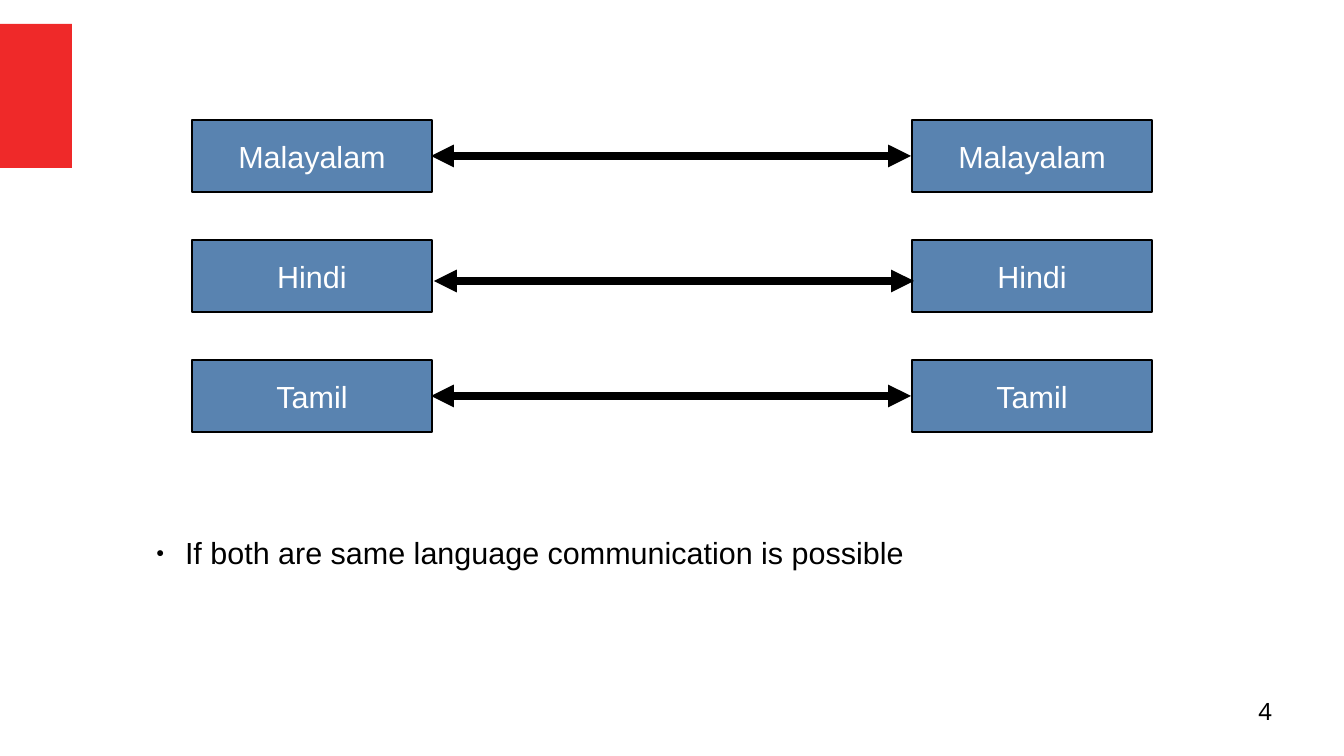
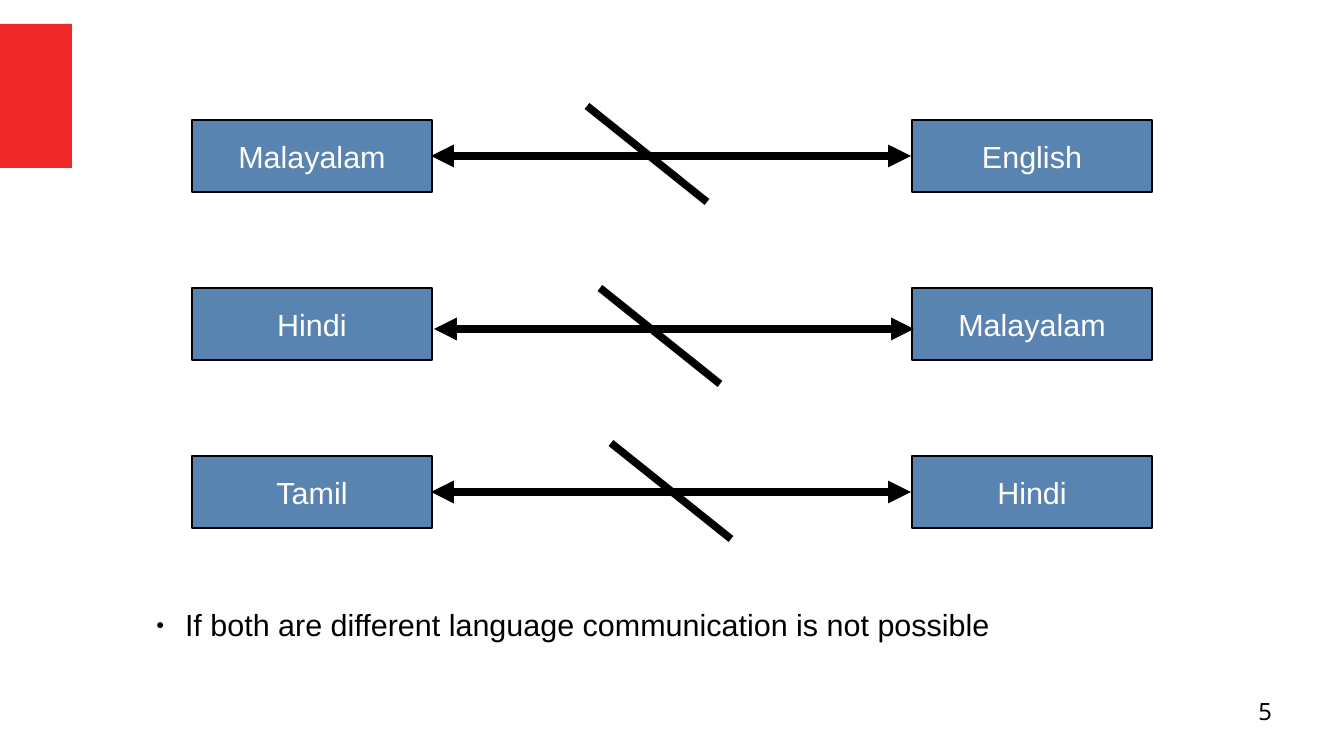
from dataclasses import dataclass
from lxml import etree
from pptx import Presentation
from pptx.dml.color import RGBColor
from pptx.enum import shapes, text
from pptx.oxml.ns import qn

PX = 914400 / 122  # EMU in one px


@dataclass(frozen=True)
class Theme:
    band: str = "EF2929"
    box: str = "5983B0"
    ink: str = "000000"
    paper: str = "FFFFFF"
    face: str = "Arial"
    digit: str = "Noto Sans"
    label: float = 18
    page: float = 14
    edge: float = 0.85
    stroke: float = 4.5


def px(*sizes):
    return [round(s * PX) for s in sizes]


def pt(size):
    return round(size * 12700)


def apply(item, **values):
    for name, value in values.items():
        setattr(item, name, value)


def node(parent, tag, **values):
    return etree.SubElement(parent, qn(tag), values)


class Deck:
    def __init__(self, theme, width, height):
        self.theme = theme
        self.prs = Presentation()
        self.slide = None
        wide, high = px(width, height)
        apply(self.prs, slide_width=wide, slide_height=high)
        self.layout = self.prs.slide_layouts[1]

    # Slide without a heading
    def page(self):
        self.slide = self.prs.slides.add_slide(self.layout)
        title = self.slide.shapes.title.element
        title.getparent().remove(title)

    def rect(self, area, color):
        shape = self.slide.shapes.add_shape(
            shapes.MSO_SHAPE.RECTANGLE, *px(*area))
        shape.shadow.inherit = False
        shape.fill.solid()
        shape.fill.fore_color.rgb = RGBColor.from_string(color)
        shape.line.fill.background()
        return shape

    # Band shared by all slides, kept on the layout
    def band(self, *area):
        shape = self.rect(area, self.theme.band)
        self.layout.shapes.element.append(shape.element)

    def label(self, frame, words, inset, align, color, size, face, **values):
        side, top = px(*inset)
        apply(frame, margin_left=side, margin_right=side,
              margin_top=top, margin_bottom=top, **values)
        para = frame.paragraphs[0]
        apply(para, text=words, alignment=align, space_before=0)
        apply(para.font, size=pt(size), name=face)
        para.font.color.rgb = RGBColor.from_string(color)

    def box(self, words, *area):
        look = self.theme
        shape = self.rect(area, look.box)
        shape.line.color.rgb = RGBColor.from_string(look.ink)
        shape.line.width = pt(look.edge)
        self.label(shape.text_frame, words, (12, 6), text.PP_ALIGN.CENTER,
                   look.paper, look.label, look.face, word_wrap=False,
                   vertical_anchor=text.MSO_ANCHOR.MIDDLE)

    def line(self, *ends, arrow=False):
        link = self.slide.shapes.add_connector(
            shapes.MSO_CONNECTOR.STRAIGHT, *px(*ends))
        link.line.color.rgb = RGBColor.from_string(self.theme.ink)
        link.line.width = pt(self.theme.stroke)
        props = link.element.spPr
        if arrow:
            for tag in ("a:headEnd", "a:tailEnd"):
                node(props.find(qn("a:ln")), tag, type="triangle")
        node(props, "a:effectLst")

    # Bulleted statement in the body placeholder
    def note(self, words, *area):
        look = self.theme
        body = self.slide.placeholders[1]
        left, top, width, height = px(*area)
        apply(body, left=left, top=top, width=width, height=height)
        self.label(body.text_frame, words, (12, 6), text.PP_ALIGN.LEFT,
                   look.ink, look.label, look.face, word_wrap=True,
                   vertical_anchor=text.MSO_ANCHOR.TOP,
                   auto_size=text.MSO_AUTO_SIZE.NONE)
        props = body.element.find(".//" + qn("a:pPr"))
        indent = px(29)[0]
        props.set("marL", str(indent))
        props.set("indent", str(-indent))
        node(node(props, "a:buClr"), "a:srgbClr", val=look.ink)
        node(props, "a:buSzPct", val="45000")
        node(props, "a:buChar", char="●")

    def count(self, number):
        look = self.theme
        area = self.slide.shapes.add_textbox(*px(960, 697, 312, 52))
        self.label(area.text_frame, str(number), (0, 0), text.PP_ALIGN.RIGHT,
                   look.ink, look.page, look.digit, word_wrap=True)


# Pairs of languages, row pitch, statement and strike starts per slide
PAGES = [
    dict(number=4, pitch=120, base=528, strikes=[],
         pairs=[("Malayalam", "Malayalam"), ("Hindi", "Hindi"),
                ("Tamil", "Tamil")],
         words="If both are same language communication is possible"),
    dict(number=5, pitch=168, base=600,
         strikes=[(587, 106), (600, 288), (611, 443)],
         pairs=[("Malayalam", "English"), ("Hindi", "Malayalam"),
                ("Tamil", "Hindi")],
         words="If both are different language communication is not possible"),
]
LEFT, RIGHT, TOP, WIDE, HIGH = 192, 912, 120, 240, 72
NUDGE = [(-1, 0), (2, 5), (-1, 0)]  # arrow offset in each row


def main():
    deck = Deck(Theme(), 1344, 756)
    for page in PAGES:
        deck.page()
        if page is PAGES[0]:
            deck.band(0, 24, 72, 144)

        # Language boxes and arrows
        for row, (pair, (dx, dy)) in enumerate(zip(page["pairs"], NUDGE)):
            top = TOP + row * page["pitch"]
            for words, left in zip(pair, (LEFT, RIGHT)):
                deck.box(words, left, top, WIDE, HIGH)
            mid = top + HIGH // 2 + dy
            deck.line(LEFT + WIDE + dx, mid, RIGHT + dx, mid, arrow=True)

        # Strikes through the arrows
        for x, y in page["strikes"]:
            deck.line(x, y, x + 120, y + 96)

        # Statement and page number
        deck.note(page["words"], 144, page["base"], 1032, 80)
        deck.count(page["number"])
    deck.prs.save("out.pptx")


if __name__ == "__main__":
    main()
